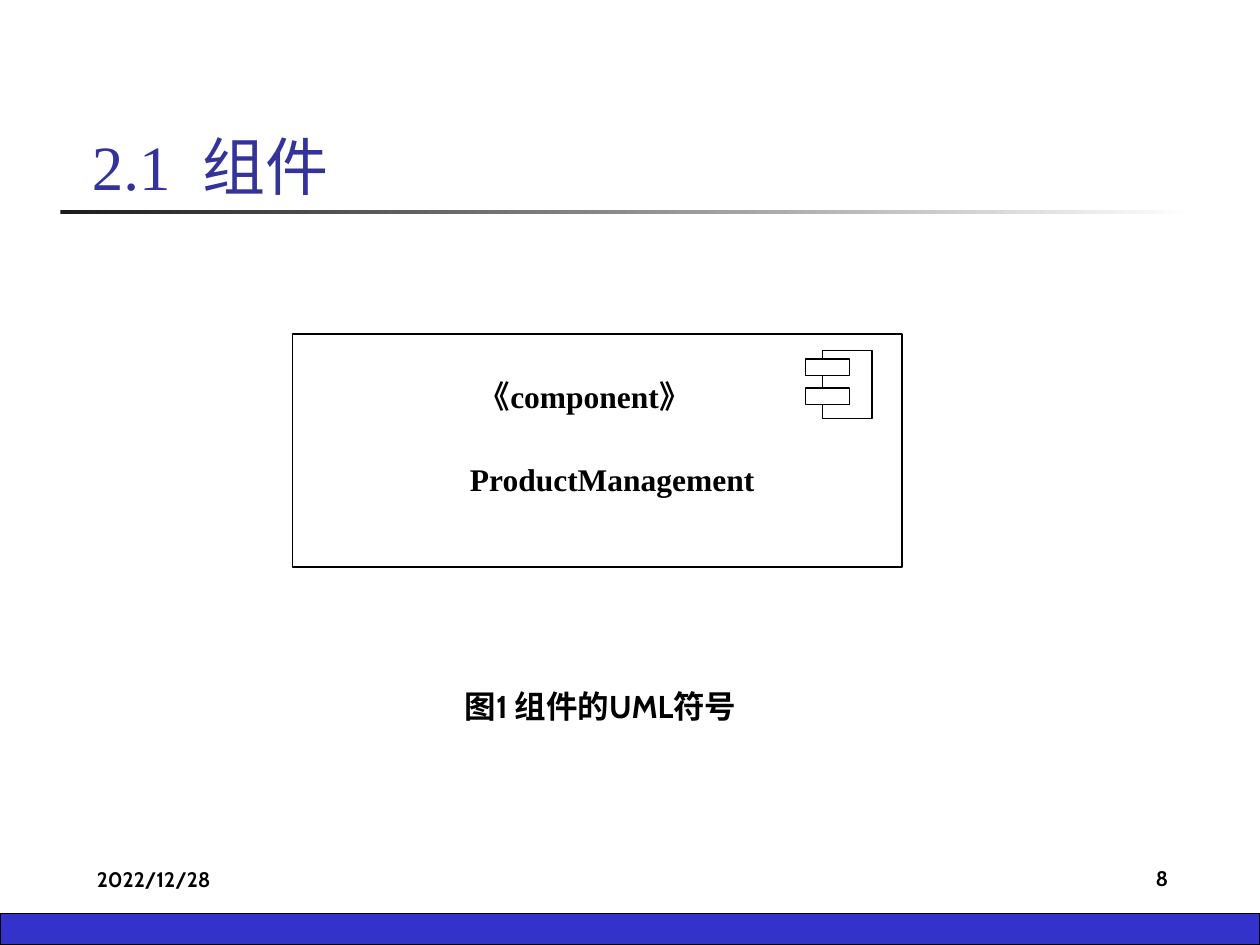
from dataclasses import dataclass

from pptx import Presentation
from pptx.dml.color import RGBColor
from pptx.enum.shapes import MSO_SHAPE
from pptx.enum.text import MSO_ANCHOR, PP_ALIGN
from pptx.util import Inches, Pt

RECT = MSO_SHAPE.RECTANGLE
TOP, BOTTOM = MSO_ANCHOR.TOP, MSO_ANCHOR.BOTTOM
LEFT, CENTER, RIGHT = PP_ALIGN.LEFT, PP_ALIGN.CENTER, PP_ALIGN.RIGHT
SERIF, SANS = "Times New Roman", "Cabin"
COLORS = {
    "ink": "000000",
    "paper": "FFFFFF",
    "title": "333399",
    "band": "3333CC",
    "rule": "1C1C1C",
}


@dataclass
class Box:
    left: float
    top: float
    width: float
    height: float
    fill: str = "paper"


@dataclass
class Label:
    text: str
    font: str
    size: int = 18
    color: str = "ink"
    bold: bool = True
    align: PP_ALIGN = LEFT
    anchor: MSO_ANCHOR = TOP
    pad: tuple = (0.1, 0.05)  # left and top inset


def rgb(name: str) -> RGBColor:
    return RGBColor.from_string(COLORS[name])


def area(box: Box) -> list:
    return [Inches(n) for n in (box.left, box.top, box.width, box.height)]


def draw_box(slide, box: Box):
    shape = slide.shapes.add_shape(RECT, *area(box))
    shape.shadow.inherit = False
    shape.fill.solid()
    shape.fill.fore_color.rgb = rgb(box.fill)
    shape.line.color.rgb = rgb("ink")
    shape.line.width = Pt(0.75)
    return shape


def draw_rule(slide, box: Box) -> None:
    shape = draw_box(slide, box)
    shape.line.fill.background()
    shape.fill.gradient()
    shape.fill.gradient_angle = 0
    for stop, name in zip(shape.fill.gradient_stops, ("rule", "paper")):
        stop.color.rgb = rgb(name)


def write(shape, label: Label) -> None:
    frame = shape.text_frame
    frame.word_wrap = True
    frame.vertical_anchor = label.anchor
    frame.margin_left, frame.margin_top = (Inches(n) for n in label.pad)
    para = frame.paragraphs[0]
    para.alignment = label.align
    run = para.add_run()
    run.text = label.text
    run.font.name = label.font
    run.font.size = Pt(label.size)
    run.font.bold = label.bold
    run.font.color.rgb = rgb(label.color)


def draw_text(slide, box: Box, label: Label) -> None:
    write(slide.shapes.add_textbox(*area(box)), label)


def main() -> None:
    deck = Presentation()
    deck.slide_width, deck.slide_height = Inches(10), Inches(7.5)
    slide = deck.slides.add_slide(deck.slide_layouts[6])

    # Bottom band and title rule
    draw_box(slide, Box(0, 7.25, 10, 0.25, "band"))
    draw_rule(slide, Box(0.48, 1.67, 9, 0.03))

    # Footer and title
    draw_text(slide, Box(0.67, 6.83, 2.17, 0.52),
              Label("2022/12/28", SANS, 12))
    draw_text(slide, Box(7.2, 6.82, 2.17, 0.52),
              Label("8", SANS, 12, align=RIGHT))
    draw_text(slide, Box(0.63, 0.33, 8.75, 1.33),
              Label("2.1  组件", SERIF, 36, "title", False, anchor=BOTTOM))

    # Component with its stereotype
    part = draw_box(slide, Box(2.32, 2.65, 4.84, 1.85))
    write(part, Label("《component》", SERIF, pad=(1.48, 0.34)))

    # Component icon: body and two tabs
    draw_box(slide, Box(6.53, 2.78, 0.39, 0.54))
    for top in (2.85, 3.08):
        draw_box(slide, Box(6.39, top, 0.35, 0.13))

    # Component name and figure caption
    draw_text(slide, Box(3.73, 3.65, 2.66, 0.7),
              Label("ProductManagement", SERIF, pad=(0, 0)))
    draw_text(slide, Box(2.64, 5.4, 4.25, 0.4),
              Label("图1 组件的UML符号", SANS, align=CENTER))

    deck.save("out.pptx")


if __name__ == "__main__":
    main()
